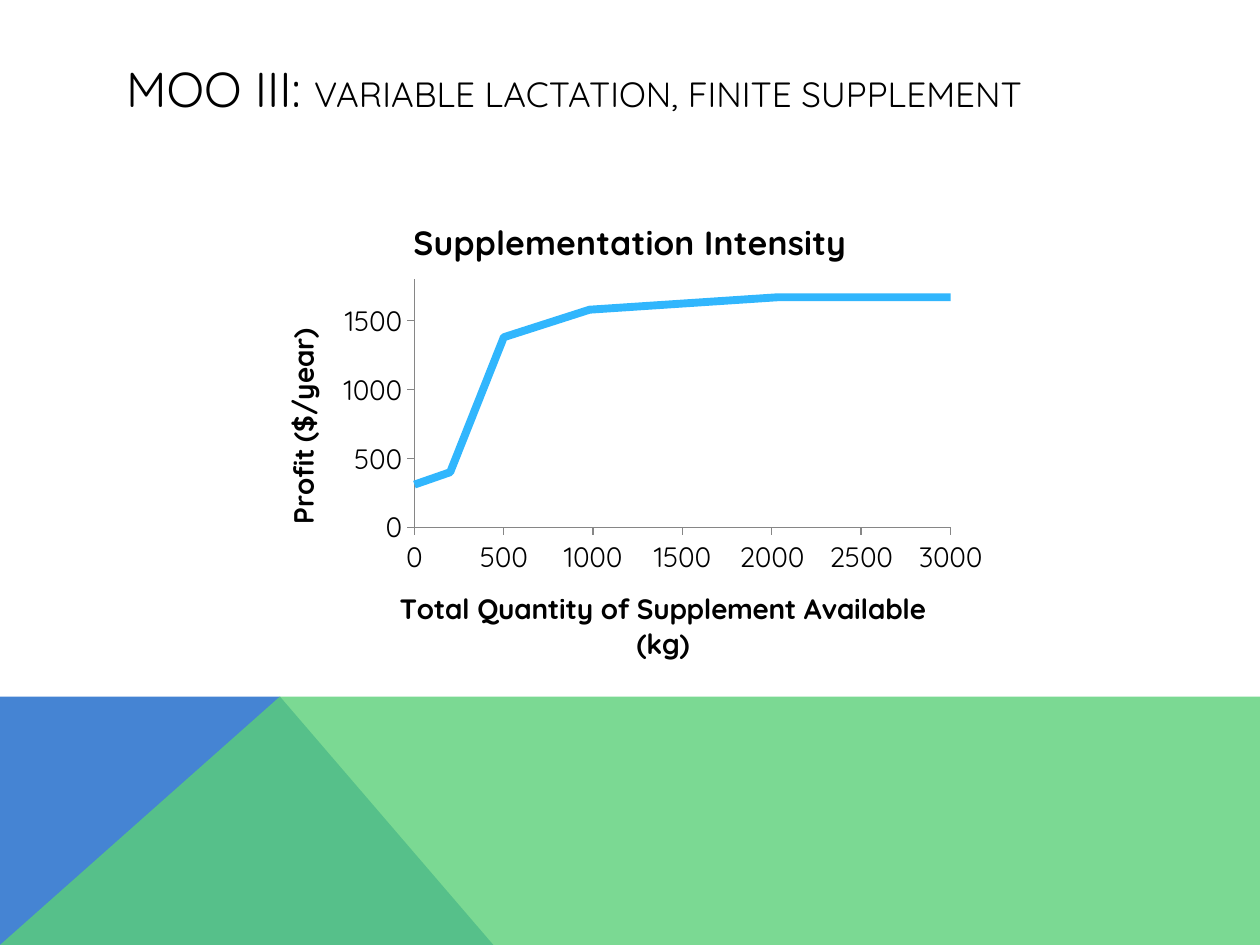
from lxml.etree import SubElement
from pptx import Presentation
from pptx.chart.data import XyChartData
from pptx.dml.color import RGBColor
from pptx.enum.chart import XL_CHART_TYPE as ChartType, XL_TICK_MARK as TickMark
from pptx.enum.text import MSO_ANCHOR as Anchor
from pptx.oxml import parse_xml
from pptx.oxml.ns import nsdecls, qn
from pptx.util import Pt

FONT = "Quicksand"
COLORS = {"text": "000000", "blue": "4584D3", "green": "5BD078",
          "line": "31B6FD", "axis": "868686"}
WIDTH, HEIGHT = 720, 540
BAND_TOP, PEAK_X = 397.5, 160.5
PROFIT_BY_SUPPLEMENT = [(0, 310), (200, 400), (500, 1380),
                        (980, 1580), (2030, 1670), (3000, 1670)]
# Inner plot area as fractions of the chart frame
PLOT_AREA = {"x": 0.21, "y": 0.17, "w": 0.72, "h": 0.5}


def rgb(name):
    return RGBColor.from_string(COLORS[name])


def set_values(target, values):
    for key, value in values.items():
        setattr(target, key, value)


def style_font(font, size, bold=False):
    set_values(font, {"name": FONT, "size": Pt(size), "bold": bold})
    font.color.rgb = rgb("text")


def add_polygon(slide, corners, color, opacity=100):
    builder = slide.shapes.build_freeform(*corners[0], scale=Pt(1))
    builder.add_line_segments(corners[1:], close=True)
    polygon = builder.convert_to_shape()
    polygon.shadow.inherit = False
    polygon.fill.solid()
    polygon.fill.fore_color.rgb = rgb(color)
    polygon.line.fill.background()
    if opacity < 100:
        tint = polygon.fill._xPr.find(f".//{qn('a:srgbClr')}")
        SubElement(tint, qn("a:alpha"), val=str(opacity * 1000))


def add_heading(slide, parts):
    heading = slide.shapes.add_textbox(Pt(65), Pt(29), Pt(592), Pt(43)).text_frame
    set_values(heading, {"word_wrap": True, "vertical_anchor": Anchor.MIDDLE})
    for text, size in parts:
        run = heading.paragraphs[0].add_run()
        run.text = text
        style_font(run.font, size)


def set_title(owner, text, size):
    frame = owner.text_frame
    frame.text = text
    style_font(frame.paragraphs[0].runs[0].font, size, bold=True)
    return frame


def style_axis(axis, title, maximum, step):
    set_values(axis, {"minimum_scale": 0, "maximum_scale": maximum,
                      "major_unit": step, "has_major_gridlines": False,
                      "major_tick_mark": TickMark.OUTSIDE,
                      "minor_tick_mark": TickMark.NONE})
    set_values(axis.tick_labels, {"number_format": "General",
                                  "number_format_is_linked": False})
    style_font(axis.tick_labels.font, 16)
    axis.format.line.color.rgb = rgb("axis")
    axis.format.line.width = Pt(0.75)
    return set_title(axis.axis_title, title, 16)


def fix_plot_area(chart):
    area = chart._chartSpace.find(f".//{qn('c:plotArea')}")
    for old in area.findall(qn("c:layout")):
        area.remove(old)
    sizes = "".join(f'<c:{key} val="{value}"/>' for key, value in PLOT_AREA.items())
    area.insert(0, parse_xml(
        f'<c:layout {nsdecls("c")}><c:manualLayout><c:layoutTarget val="inner"/>'
        f'<c:xMode val="edge"/><c:yMode val="edge"/>{sizes}'
        '</c:manualLayout></c:layout>'))


def add_profit_chart(slide):
    data = XyChartData()
    profit = data.add_series("Series 1")
    for supplement, dollars in PROFIT_BY_SUPPLEMENT:
        profit.add_data_point(supplement, dollars)
    chart = slide.shapes.add_chart(
        ChartType.XY_SCATTER_LINES_NO_MARKERS,
        Pt(147.5), Pt(111.5), Pt(425.5), Pt(283.5), data).chart
    style_font(chart.font, 16)
    chart.has_legend = False
    set_title(chart.chart_title, "Supplementation Intensity", 19.2)
    style_axis(chart.category_axis, "Total Quantity of Supplement Available (kg)",
               3000, 500)
    profit_title = style_axis(chart.value_axis, "Profit ($/year)", 1800, 500)
    body = profit_title._txBody.find(qn("a:bodyPr"))
    body.set("rot", "-5400000")
    body.set("vert", "horz")
    fix_plot_area(chart)

    # Profit curve
    plot = chart.plots[0]
    plot.vary_by_categories = False
    curve = plot.series[0]
    curve.smooth = False
    curve.format.line.color.rgb = rgb("line")
    curve.format.line.width = Pt(4.5)


def main():
    deck = Presentation()
    set_values(deck, {"slide_width": Pt(WIDTH), "slide_height": Pt(HEIGHT)})
    slide = deck.slides.add_slide(deck.slide_layouts[6])

    # Overlapping bands along the bottom
    add_polygon(slide, [(0, HEIGHT), (0, BAND_TOP), (PEAK_X, BAND_TOP),
                        (281.5, HEIGHT)], "blue")
    add_polygon(slide, [(0, HEIGHT), (PEAK_X, BAND_TOP), (WIDTH, BAND_TOP),
                        (WIDTH, HEIGHT)], "green", opacity=80)

    # Heading and chart
    add_heading(slide, [("MOO III: ", 28),
                        ("VARIABLE LACTATION, FINITE SUPPLEMENT", 20)])
    add_profit_chart(slide)
    deck.save("out.pptx")


if __name__ == "__main__":
    main()
